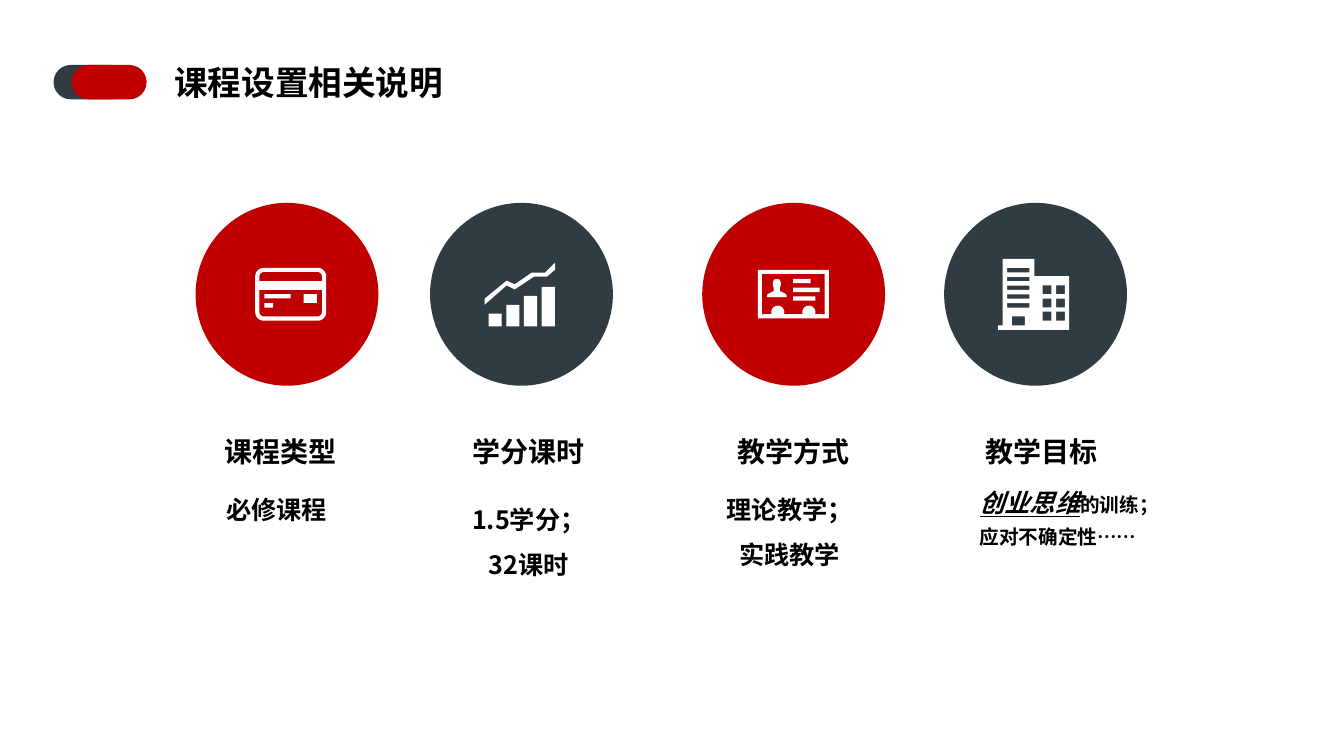
from math import cos, radians, sin

from lxml import etree
from pptx import Presentation
from pptx.dml.color import RGBColor
from pptx.enum.shapes import MSO_SHAPE
from pptx.enum.text import MSO_AUTO_SIZE, PP_ALIGN
from pptx.oxml.ns import qn
from pptx.util import Pt

OVAL, RECT, PILL = MSO_SHAPE.OVAL, MSO_SHAPE.RECTANGLE, MSO_SHAPE.ROUNDED_RECTANGLE
CENTER, LEFT = PP_ALIGN.CENTER, PP_ALIGN.LEFT
GROW = MSO_AUTO_SIZE.SHAPE_TO_FIT_TEXT
RED = RGBColor(0xC0, 0x00, 0x00)
SLATE = RGBColor(0x30, 0x3C, 0x42)
WHITE = RGBColor(0xFF, 0xFF, 0xFF)
BLACK = RGBColor(0x00, 0x00, 0x00)
HEAD, BODY, TITLE = "Roboto Condensed", "Noto Sans CJK SC", "Arial"

DISC_TOP, DISC = 144.9, 130.6
# box = left, top, width, height; run = text, size, emphasis
TOPICS = [
    dict(disc=139.7, color=RED, icon=(182.3, 191.3), kind="card",
         head="课程类型", head_box=(93, 294.6, 215.3, 43.2), head_gap=1.5,
         body=[[("必修课程", 18, False)]],
         body_box=(113.8, 338.4, 167.8, 39.6), body_gap=1.5, align=CENTER),
    dict(disc=307.2, color=SLATE, icon=(346.1, 187.5), kind="chart",
         head="学分课时", head_box=(270, 306.7, 215.3, 31.5), head_gap=1.0,
         body=[[("1.5学分；", 18, False)], [("32课时", 18, False)]],
         body_box=(293.8, 345.6, 167.8, 72.7), body_gap=1.5, align=CENTER),
    dict(disc=501.6, color=RED, icon=(541.4, 192.8), kind="badge",
         head="教学方式", head_box=(459.4, 294.6, 215.3, 43.2), head_gap=1.5,
         body=[[("理论教学；", 18, False)], [("实践教学", 18, False)]],
         body_box=(480.2, 338.4, 167.8, 72.7), body_gap=1.5, align=CENTER),
    dict(disc=674.4, color=SLATE, icon=(713, 185), kind="tower",
         head="教学目标", head_box=(636.5, 294.6, 215.3, 43.2), head_gap=1.5,
         body=[[("创业思维", 18, True), ("的训练；", 14, False)],
               [("应对不确定性……", 14, False)]],
         body_box=(692.6, 338.4, 164.2, 57.6), body_gap=1.3, align=LEFT),
]


def box(x, y, w, h):
    return [(x, y), (x + w, y), (x + w, y + h), (x, y + h)]


def arc(x, y, r, start, end, steps=10):
    """Points on a circle; angles in degrees, clockwise from the right."""
    turns = [radians(start + (end - start) * i / steps) for i in range(steps + 1)]
    return [(x + r * cos(a), y + r * sin(a)) for a in turns]


def soft(x, y, w, h, top, low):
    """Rectangle outline with one radius for the top corners, one for the low."""
    r, b = x + w, y + h
    upper = arc(x + top, y + top, top, 180, 270) + arc(r - top, y + top, top, 270, 360)
    return upper + arc(r - low, b - low, low, 0, 90) + arc(x + low, b - low, low, 90, 180)


TREND = [(43.2, 7.2), (33.8, 7.2), (21.6, 15.6), (15.8, 13), (0, 25.9), (0, 30.2),
         (15.8, 16.4), (21.6, 19.2), (35.3, 10.1), (44.6, 10.1), (50.4, 5), (50.4, 0)]
HALF = [(0, 6.4), (1.9, 6.9), (2.8, 8.6), (2.9, 10.4), (2.2, 13), (2.2, 15.1),
        (3.6, 15.8), (6.6, 17.3), (7.2, 19.4)]
BUST = [(13.5 + x, y) for x, y in HALF] + [(13.5 - x, y) for x, y in HALF[:0:-1]]
FRAME = ([(2.9, 2.9), (47.7, 2.9), (47.7, 31.7)] + arc(36.4, 30.2, 4.7, 18, -198)
         + arc(14.2, 30.2, 4.7, 18, -198) + [(2.9, 31.7)])
WALL = [(25.9, 12.2), (25.9, 0), (3.2, 0), (3.2, 47.5), (0, 47.5), (0, 50.6),
        (50.6, 50.6), (50.6, 12.2)]
SLITS = [box(6.4, 6.4 + 6.3 * i, 15.9, 3.1) for i in range(5)]
PANES = [box(x, 18.9 + 9.4 * i, 6.3, 6.3) for x in (31.7, 41.4) for i in range(3)]
BAR_TOPS = [36.6, 30.2, 23.8, 17.4]

# kind: (outlines, each a list of contours; bars as x, y, w, h)
ICONS = {
    "card": ([[soft(0, 0, 50.7, 37.8, 6.2, 6.2), soft(3, 15.8, 44.7, 18.9, 0, 3.2),
               soft(3, 3, 44.7, 6.5, 3.2, 0)]],
             [(6.5, 18.8, 18.8, 3.1), (6.5, 25.2, 6.4, 3.2), (34.6, 18.8, 9.4, 6.3)]),
    "chart": ([[TREND]],
              [(2.9 + 12.65 * i, y, 9.4, 45.7 - y) for i, y in enumerate(BAR_TOPS)]),
    "badge": ([[box(0, 0, 50.6, 34.7), FRAME], [BUST]],
              [(25.2, 6.4, 12.5, 3.1), (25.2, 12.6, 18.9, 3.2), (25.2, 18.9, 15.8, 3.1)]),
    "tower": ([[WALL, box(9.7, 41.1, 9.4, 6.3)] + SLITS + PANES], []),
}


def paint(shape, color):
    shape.shadow.inherit = False
    shape.fill.solid()
    shape.fill.fore_color.rgb = color
    shape.line.fill.background()


def add(shapes, kind, area, color):
    shape = shapes.add_shape(kind, *map(Pt, area))
    paint(shape, color)
    return shape


def trace(shapes, rings, x, y):
    """One white freeform from several contours; inner ones are holes."""
    pen = None
    for ring in rings:
        pts = [(Pt(x + a), Pt(y + b)) for a, b in ring]
        if pen is None:
            pen = shapes.build_freeform(*pts[0], scale=1.0)
        else:
            pen.move_to(*pts[0])
        pen.add_line_segments(pts[1:], close=True)
    paint(pen.convert_to_shape(), WHITE)


def style(font, face, size):
    font.name, font.size, font.bold = face, Pt(size), True
    font.color.rgb = BLACK


def write(shapes, area, lines, face, gap=1.0, align=LEFT, wrap=True):
    frame = shapes.add_textbox(*map(Pt, area)).text_frame
    frame.word_wrap, frame.auto_size = wrap, GROW
    for i, runs in enumerate(lines):
        para = frame.add_paragraph() if i else frame.paragraphs[0]
        para.alignment, para.line_spacing = align, gap
        style(para.font, face, runs[-1][1])
        base = para._p.get_or_add_pPr().find(qn("a:defRPr"))
        etree.SubElement(base, qn("a:ea")).set("typeface", BODY)
        for text, size, mark in runs:
            run = para.add_run()
            run.text = text
            if size != runs[-1][1]:
                run.font.size = Pt(size)
            if mark:
                run.font.italic = run.font.underline = True


def main():
    deck = Presentation()
    deck.slide_width, deck.slide_height = Pt(960), Pt(540)
    shapes = deck.slides.add_slide(deck.slide_layouts[6]).shapes

    for topic in TOPICS:
        group = shapes.add_group_shape().shapes
        add(group, OVAL, (topic["disc"], DISC_TOP, DISC, DISC), topic["color"])
        x, y = topic["icon"]
        outlines, bars = ICONS[topic["kind"]]
        for rings in outlines:
            trace(group, rings, x, y)
        for a, b, w, h in bars:
            add(group, RECT, (x + a, y + b, w, h), WHITE)
        write(shapes, topic["body_box"], topic["body"], BODY,
              topic["body_gap"], topic["align"])
        write(shapes, topic["head_box"], [[(topic["head"], 20, False)]], HEAD,
              topic["head_gap"], CENTER)

    for left, color in ((38.2, SLATE), (51.1, RED)):
        add(shapes, PILL, (left, 46.4, 53.6, 24.6), color).adjustments[0] = 0.5
    write(shapes, (117.4, 40.3, 206.6, 36.3), [[("课程设置相关说明", 24, False)]],
          TITLE, wrap=False)
    deck.save("out.pptx")


if __name__ == "__main__":
    main()
